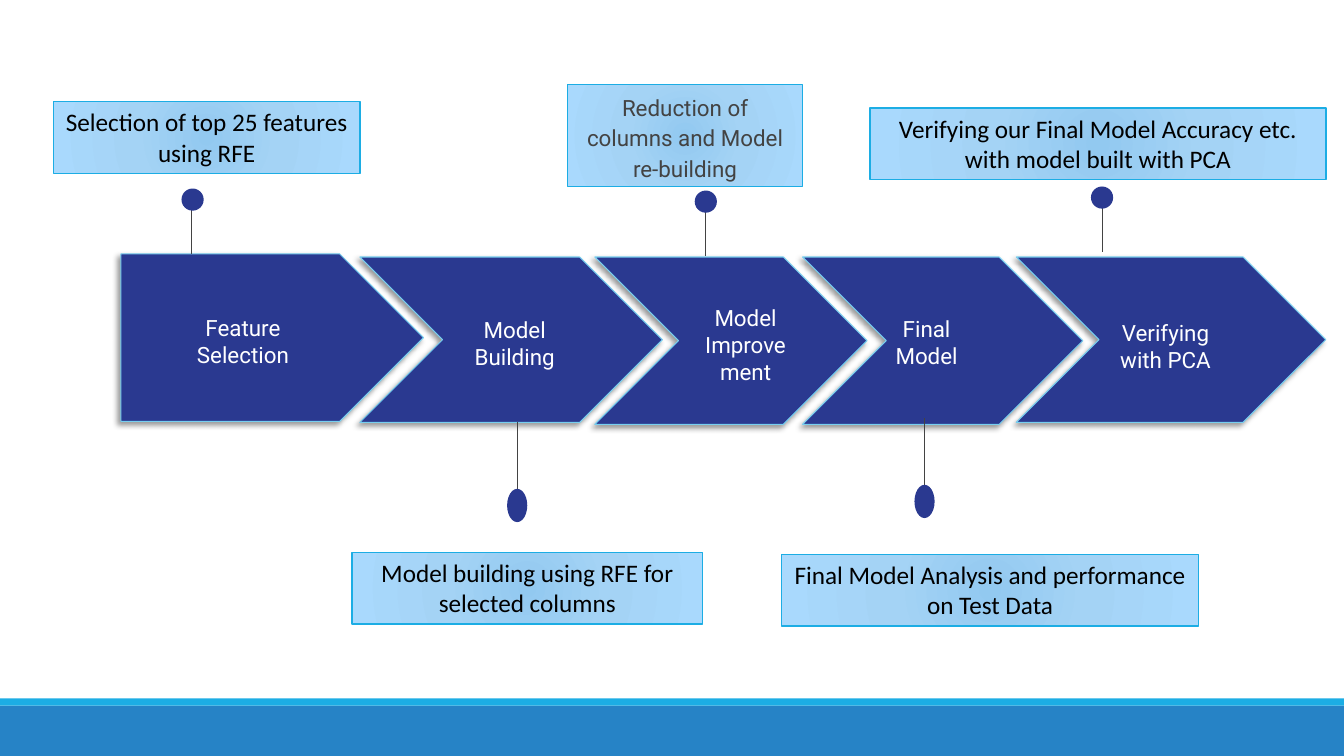
"""Build a slide with a five-step model process, its pins and its notes."""
from dataclasses import dataclass

from pptx import Presentation
from pptx.dml.color import RGBColor
from pptx.enum.shapes import MSO_CONNECTOR, MSO_SHAPE
from pptx.enum.text import MSO_ANCHOR, PP_ALIGN
from pptx.oxml import parse_xml
from pptx.oxml.ns import nsdecls
from pptx.util import Pt

SCALE = 9144
NAVY = "2A3990"
GREY = "434343"
SKY = "1CADE4"
STOPS = ((0, "92C9F0"), (45, "A4D3F5"), (100, "A9D9FD"))


@dataclass(frozen=True)
class Box:
    """Place and size in px."""
    left: int
    top: int
    width: int
    height: int

    def emu(self) -> tuple[int, ...]:
        """Return the four lengths in EMU."""
        return tuple(px(n) for n in (self.left, self.top, self.width, self.height))


@dataclass(frozen=True)
class Font:
    """Face, size and colour of a text."""
    name: str
    size: int
    color: str


LABEL = Font("Roboto", 16, "FFFFFF")
PLAIN = Font("Calibri", 18, "000000")
SOFT = Font("Roboto", 16, GREY)


@dataclass(frozen=True)
class Stage:
    """An arrow of the process with its label."""
    text: str
    arrow: Box
    label: Box
    kind: MSO_SHAPE = MSO_SHAPE.CHEVRON


@dataclass(frozen=True)
class Pin:
    """A line that ends in a dot."""
    x: int
    start: int
    end: int
    dot: Box


@dataclass(frozen=True)
class Note:
    """A framed remark on a stage."""
    text: str
    box: Box
    font: Font = PLAIN
    spacing: float = 1.0


BARS = ((Box(0, 700, 1333, 50), "2683C6"), (Box(0, 693, 1333, 7), SKY))
STAGES = (
    Stage("Feature Selection", Box(120, 252, 300, 166), Box(148, 287, 186, 103),
          MSO_SHAPE.PENTAGON),
    Stage("Model Building", Box(357, 255, 300, 164), Box(430, 291, 161, 99)),
    Stage("Model Improvement", Box(590, 255, 270, 166), Box(683, 296, 113, 91)),
    Stage("Final Model", Box(796, 255, 278, 166), Box(855, 290, 128, 99)),
    Stage("Verifying with PCA", Box(1008, 255, 307, 164), Box(1082, 294, 148, 99)),
)
PINS = (
    Pin(513, 511, 419, Box(503, 485, 20, 33)),
    Pin(917, 508, 415, Box(907, 481, 20, 33)),
    Pin(1093, 189, 250, Box(1082, 185, 22, 22)),
    Pin(700, 193, 254, Box(689, 189, 22, 22)),
    Pin(190, 191, 252, Box(180, 187, 22, 22)),
)
NOTES = (
    Note("Selection of top 25 features using RFE", Box(53, 101, 304, 71)),
    Note("Reduction of columns and Model re-building", Box(563, 84, 233, 101), SOFT, 1.15),
    Note("Verifying our Final Model Accuracy etc. with model built with PCA",
         Box(863, 107, 452, 71)),
    Note("Final Model Analysis and performance on Test Data", Box(775, 550, 414, 71)),
    Note("Model building using RFE for selected columns", Box(349, 548, 348, 71)),
)


def px(count: int) -> int:
    """Turn px into EMU."""
    return count * SCALE


def rgb(color: str) -> RGBColor:
    """Turn a hex string into a colour."""
    return RGBColor.from_string(color)


def shape(parent, kind: MSO_SHAPE, box: Box, fill: str = "", line: str = "",
          width: float = 0.75):
    """Add a flat shape with an optional fill and line."""
    item = parent.add_shape(kind, *box.emu())
    item.shadow.inherit = False
    if fill:
        item.fill.solid()
        item.fill.fore_color.rgb = rgb(fill)
    if line:
        item.line.color.rgb = rgb(line)
        item.line.width = Pt(width)
    else:
        item.line.fill.background()
    return item


def write(frame, text: str, font: Font, spacing: float = 1.0) -> None:
    """Put centred, wrapped text in a frame."""
    frame.word_wrap = True
    frame.text = text
    para = frame.paragraphs[0]
    para.alignment = PP_ALIGN.CENTER
    para.line_spacing = spacing
    face = para.runs[0].font
    face.name, face.size = font.name, Pt(font.size)
    face.color.rgb = rgb(font.color)


def shade(item) -> None:
    """Cast a soft shadow to the lower left."""
    item.element.spPr.find("{*}effectLst").append(parse_xml(
        f'<a:outerShdw {nsdecls("a")} blurRad="{Pt(4)}" dist="{Pt(3)}" dir="8100000" '
        'algn="ctr" rotWithShape="0"><a:srgbClr val="000000"><a:alpha val="40000"/>'
        '</a:srgbClr></a:outerShdw>'))


def glow(item) -> None:
    """Fill a shape with the round blue gradient."""
    stops = "".join(f'<a:gs pos="{pos * 1000}"><a:srgbClr val="{color}"/></a:gs>'
                    for pos, color in STOPS)
    item.element.spPr.insert(2, parse_xml(
        f'<a:gradFill {nsdecls("a")} rotWithShape="1"><a:gsLst>{stops}</a:gsLst>'
        '<a:path path="circle"><a:fillToRect l="100000" t="100000" r="100000" '
        'b="100000"/></a:path></a:gradFill>'))


def draw_stage(shapes, stage: Stage) -> None:
    """Draw an arrow and its label."""
    arrow = shape(shapes, stage.kind, stage.arrow, NAVY, "77CEEF")
    arrow.adjustments[0] = 0.5
    shade(arrow)
    frame = shapes.add_textbox(*stage.label.emu()).text_frame
    frame.margin_left = frame.margin_right = px(10)
    frame.margin_top = frame.margin_bottom = px(10)
    frame.vertical_anchor = MSO_ANCHOR.MIDDLE
    write(frame, stage.text, LABEL)


def draw_pin(shapes, pin: Pin) -> None:
    """Draw a line and its dot as a group."""
    group = shapes.add_group_shape().shapes
    stem = group.add_connector(MSO_CONNECTOR.STRAIGHT, px(pin.x), px(pin.start),
                               px(pin.x), px(pin.end))
    stem.line.color.rgb = rgb(GREY)
    stem.line.width = Pt(0.75)
    stem.element.spPr.append(parse_xml(f'<a:effectLst {nsdecls("a")}/>'))
    shape(group, MSO_SHAPE.OVAL, pin.dot, NAVY)


def draw_note(shapes, note: Note) -> None:
    """Draw a framed remark."""
    item = shape(shapes, MSO_SHAPE.RECTANGLE, note.box, line=SKY, width=1)
    glow(item)
    item.text_frame.vertical_anchor = MSO_ANCHOR.TOP
    write(item.text_frame, note.text, note.font, note.spacing)


def main() -> None:
    """Build and save the slide."""
    deck = Presentation()
    deck.slide_width, deck.slide_height = px(1333), px(750)
    shapes = deck.slides.add_slide(deck.slide_layouts[6]).shapes
    for box, color in BARS:
        shape(shapes, MSO_SHAPE.RECTANGLE, box, color)
    for stage in STAGES:
        draw_stage(shapes, stage)
    for pin in PINS:
        draw_pin(shapes, pin)
    for note in NOTES:
        draw_note(shapes, note)
    deck.save("out.pptx")


if __name__ == "__main__":
    main()
